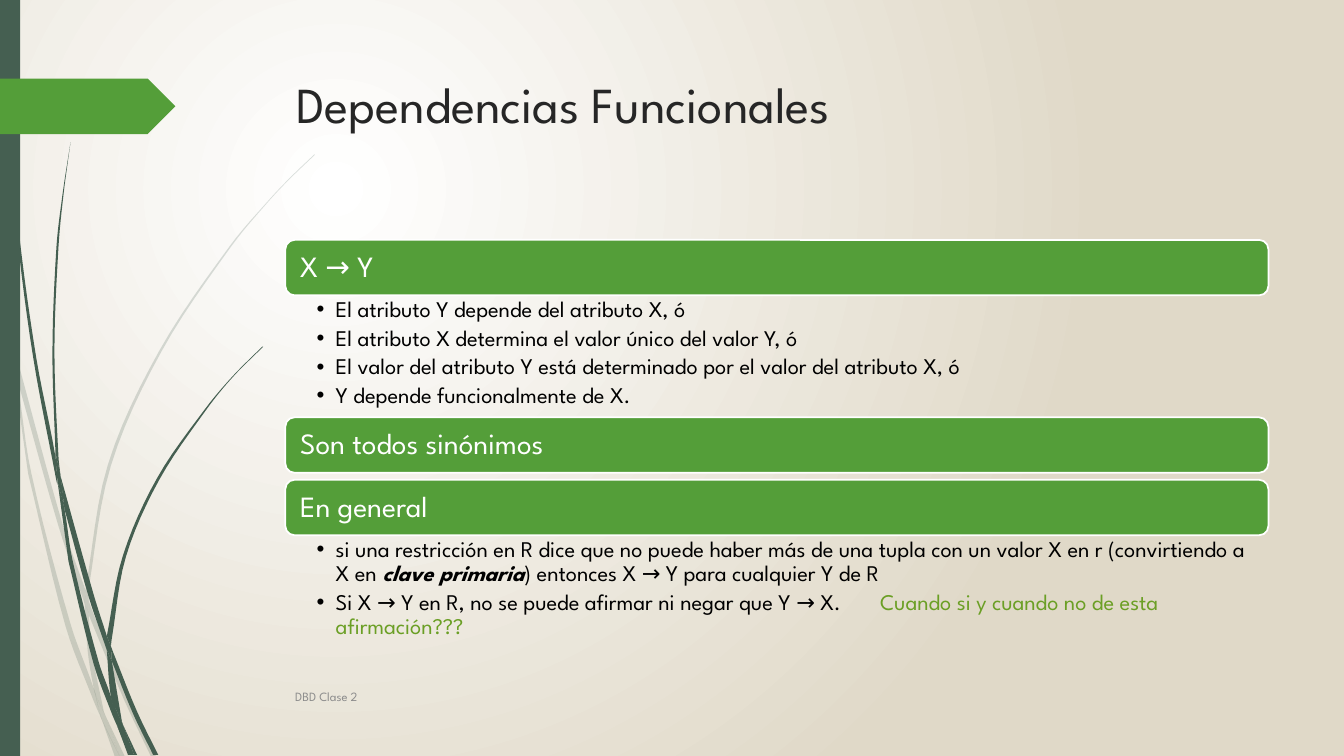
from dataclasses import dataclass
from math import dist

from lxml import etree
from pptx import Presentation
from pptx import util as u
from pptx.dml.color import RGBColor
from pptx.enum import shapes, text
from pptx.oxml import ns

FONT = "League Spartan"
PINE = RGBColor(0x45, 0x5F, 0x51)
GREEN = RGBColor(0x54, 0x9E, 0x39)
LIME = RGBColor(0x6B, 0x9F, 0x25)
SAND = RGBColor(0xE0, 0xD9, 0xC8)
INK = RGBColor(0x26, 0x26, 0x26)
GRAY = RGBColor(0x8C, 0x8C, 0x8C)
BLACK = RGBColor(0, 0, 0)
WHITE = RGBColor(255, 255, 255)

LEFT, WIDTH, HEADING_HEIGHT = 2.83, 9.75, 0.55
Point = tuple[float, float]
Edge = list[Point]


@dataclass
class Blade:
    down: Edge
    back: Edge


@dataclass
class Heading:
    label: str
    top: float


@dataclass
class Phrase:
    words: str
    color: RGBColor = BLACK
    strong: bool = False


@dataclass
class Points:
    slot: int
    top: float
    height: float
    items: list[list[Phrase]]


PALE_BLADES = [
    Blade([(0, 2.82), (0.09, 3.22), (0.11, 3.5)], [(0.1, 3.44), (0, 2.99)]),
    Blade([(0.14, 3.45), (0.62, 5.2), (0.85, 5.86)], [(0.84, 5.99), (0.58, 5.22), (0.17, 3.76)]),
    Blade([(0.88, 5.96), (0.92, 6.07), (1.27, 6.92), (1.55, 7.51)],
          [(1.5, 7.51), (1.23, 6.94), (0.88, 6.1)]),
    Blade([(1.05, 7.11), (1.24, 7.51)], [(1.19, 7.51)]),
    Blade([(0.11, 3.5), (0.17, 3.76), (0.31, 4.69), (0.7, 6.19), (0.93, 6.83), (0.99, 7.07)],
          [(1.01, 7.14), (0.92, 6.93), (0.65, 6.21), (0.28, 4.7)]),
    Blade([(0.84, 5.99), (0.87, 6.46), (0.93, 6.83), (0.96, 6.92), (1.05, 7.11)],
          [(1.03, 7.06), (0.91, 6.46), (0.88, 6.1), (0.88, 6.08)]),
    Blade([(0.88, 5.96), (0.88, 5.84), (1.1, 4.62), (1.6, 3.49), (2.29, 2.45), (2.68, 1.98),
           (2.9, 1.75), (3.12, 1.54)],
          [(3.12, 1.53), (2.89, 1.75), (2.68, 1.97), (2.28, 2.44), (1.58, 3.48), (1.07, 4.61),
           (0.85, 5.84), (0.85, 5.86)]),
    Blade([(1.01, 7.14), (1.14, 7.51)], [(1.19, 7.51)]),
    Blade([(0.88, 6.08), (0.88, 5.96)], [(0.85, 5.86), (0.84, 5.99)]),
    Blade([(0.93, 6.83), (0.99, 7.07), (1.01, 7.14), (1.19, 7.51)], [(1.05, 7.11), (0.96, 6.92)]),
]
DARK_BLADES = [
    Blade([(0.04, 0), (0.05, 0.48), (0.08, 1.09), (0.19, 2.32), (0.36, 3.55), (0.55, 4.53), (0.57, 4.81)],
          [(0.56, 4.77), (0.33, 3.55), (0.17, 2.33), (0.07, 1.1), (0.04, 0.48), (0.03, 0)]),
    Blade([(0.6, 4.72), (0.93, 5.9), (1.06, 6.31)], [(1.06, 6.45), (0.88, 5.92), (0.64, 5.05)]),
    Blade([(1.1, 6.41), (1.13, 6.49), (1.36, 7.06), (1.57, 7.49)],
          [(1.52, 7.49), (1.32, 7.08), (1.11, 6.56)]),
    Blade([(0.57, 4.77), (0.64, 5.05), (0.72, 5.56), (0.98, 6.57), (1.1, 6.91), (1.16, 7.17)],
          [(1.17, 7.22), (1.11, 7.08), (0.93, 6.59), (0.68, 5.57)]),
    Blade([(0.6, 4.72), (0.58, 4.53), (0.54, 3.49), (0.58, 2.45), (0.63, 1.93), (0.7, 1.41)],
          [(0.7, 1.41), (0.62, 1.93), (0.56, 2.45), (0.52, 3.49), (0.55, 4.49)]),
    Blade([(1.22, 7.19), (1.36, 7.49)], [(1.33, 7.49)]),
    Blade([(0.55, 4.49), (0.6, 4.72), (0.64, 5.05)], [(0.57, 4.77), (0.55, 4.53)]),
    Blade([(1.1, 6.41), (1.11, 6.33), (1.25, 5.52), (1.58, 4.76), (2.05, 4.06), (2.31, 3.74), (2.61, 3.44)],
          [(2.6, 3.44), (2.31, 3.73), (2.04, 4.05), (1.56, 4.74), (1.22, 5.51), (1.06, 6.31)]),
    Blade([(1.17, 7.22), (1.27, 7.49)], [(1.31, 7.49)]),
    Blade([(1.06, 6.45), (1.1, 6.91), (1.16, 7.06), (1.22, 7.19)], [(1.21, 7.16), (1.11, 6.56)]),
    Blade([(1.06, 6.31), (1.06, 6.45)], [(1.11, 6.56), (1.1, 6.41)]),
    Blade([(1.1, 6.91), (1.17, 7.22), (1.3, 7.49)], [(1.33, 7.49), (1.22, 7.19), (1.16, 7.06)]),
]
HEADINGS = [Heading("X → Y", 2.38), Heading("Son todos sinónimos", 4.14), Heading("En general", 4.76)]
LISTS = [
    Points(1, 2.93, 1.21, [
        [Phrase("El atributo Y depende del atributo X, ó")],
        [Phrase("El atributo X determina el valor único del valor Y, ó")],
        [Phrase("El valor del atributo Y está determinado por el valor del atributo X, ó")],
        [Phrase("Y depende funcionalmente de X.")],
    ]),
    Points(2, 5.31, 1.12, [
        [Phrase("si una restricción en R dice que no puede haber más de una tupla con un valor X en r "
                "(convirtiendo a X en "),
         Phrase("clave primaria", strong=True),
         Phrase(") entonces X → Y para cualquier Y de R")],
        [Phrase("Si X → Y en R, no se puede afirmar ni negar que Y → X.\t"),
         Phrase("Cuando si y cuando no de esta afirmación???", LIME)],
    ]),
]


def style(run, size: float, color: RGBColor) -> None:
    run.font.name, run.font.size = FONT, u.Pt(size)
    run.font.color.rgb = color


def place(part, left: float, top: float, width: float, height: float) -> None:
    part.left, part.top = u.Inches(left), u.Inches(top)
    part.width, part.height = u.Inches(width), u.Inches(height)


def paint(part, color: RGBColor) -> None:
    part.shadow.inherit = False
    part.fill.solid()
    part.fill.fore_color.rgb = color
    part.line.fill.background()


def smooth(edge: Edge, steps: int = 6) -> Edge:
    def heading(i: int) -> Point:
        a, b = edge[max(i - 1, 0)], edge[min(i + 1, len(edge) - 1)]
        reach = dist(a, b) or 1
        return (b[0] - a[0]) / reach, (b[1] - a[1]) / reach

    curve = [edge[0]]
    for i, (a, b) in enumerate(zip(edge, edge[1:])):
        span, leave, arrive = dist(a, b), heading(i), heading(i + 1)
        for t in (n / steps for n in range(1, steps + 1)):
            end = t * t * (3 - 2 * t)
            out, into = span * t * (1 - t) ** 2, span * t * t * (t - 1)
            curve.append(tuple(a[k] + (b[k] - a[k]) * end + leave[k] * out + arrive[k] * into
                               for k in (0, 1)))
    return curve


def draw_blade(slide, blade: Blade, opacity: int) -> None:
    start, *rest = [(u.Inches(x), u.Inches(y)) for x, y in smooth(blade.down) + smooth(blade.back)]
    builder = slide.shapes.build_freeform(*start)
    builder.add_line_segments(rest, close=True)
    grass = builder.convert_to_shape()
    paint(grass, PINE)
    if opacity < 100:
        tint = grass.element.spPr.find(".//" + ns.qn("a:srgbClr"))
        etree.SubElement(tint, ns.qn("a:alpha"), val=str(opacity * 1000))


def draw_block(slide, kind, box: tuple[float, float, float, float], color: RGBColor):
    block = slide.shapes.add_shape(kind, *map(u.Inches, box))
    paint(block, color)
    return block


def draw_heading(slide, heading: Heading) -> None:
    bar = draw_block(slide, shapes.MSO_SHAPE.ROUNDED_RECTANGLE,
                     (LEFT, heading.top, WIDTH, HEADING_HEIGHT), GREEN)
    bar.line.color.rgb, bar.line.width = WHITE, u.Pt(1.25)
    frame = bar.text_frame
    frame.text = heading.label
    frame.margin_left = u.Inches(0.12)
    frame.vertical_anchor = text.MSO_ANCHOR.MIDDLE
    label = frame.paragraphs[0]
    label.alignment, label.line_spacing = text.PP_ALIGN.LEFT, 0.9
    style(label.runs[0], 21, WHITE)


def draw_list(slide, points: Points) -> None:
    body = slide.placeholders[points.slot]
    place(body, LEFT, points.top, WIDTH, points.height)
    frame = body.text_frame
    frame.auto_size, frame.word_wrap = text.MSO_AUTO_SIZE.NONE, True
    frame.margin_left, frame.margin_right = u.Inches(0.31), u.Inches(0.16)
    frame.margin_top = frame.margin_bottom = u.Inches(0.03)
    for i, phrases in enumerate(points.items):
        item = frame.add_paragraph() if i else frame.paragraphs[0]
        item.line_spacing, item.space_before, item.space_after = 0.9, u.Pt(0), u.Pt(3.2)
        props = item._p.get_or_add_pPr()
        props.set("marL", str(u.Inches(0.19)))
        props.set("indent", str(-u.Inches(0.19)))
        etree.SubElement(props, ns.qn("a:buChar"), char="•")
        stops = etree.SubElement(props, ns.qn("a:tabLst"))
        etree.SubElement(stops, ns.qn("a:tab"), pos=str(u.Inches(5.59)), algn="l")
        for phrase in phrases:
            run = item.add_run()
            run.text = phrase.words
            style(run, 16, phrase.color)
            run.font.bold = run.font.italic = phrase.strong


def draw_background(slide) -> None:
    fill = slide.background.fill
    fill.gradient()
    for stop, color in zip(fill.gradient_stops, (WHITE, SAND)):
        stop.color.rgb = color
    linear = slide.element.find(".//" + ns.qn("a:lin"))
    radial = etree.Element(ns.qn("a:path"), path="circle")
    etree.SubElement(radial, ns.qn("a:fillToRect"), l="50000", t="50000", r="100000", b="100000")
    linear.getparent().replace(linear, radial)


def main() -> None:
    deck = Presentation()
    deck.slide_width, deck.slide_height = u.Inches(13.33), u.Inches(7.5)
    slide = deck.slides.add_slide(deck.slide_layouts[3])
    draw_background(slide)
    for blades, opacity in ((PALE_BLADES, 20), (DARK_BLADES, 100)):
        for blade in blades:
            draw_blade(slide, blade, opacity)
    draw_block(slide, shapes.MSO_SHAPE.RECTANGLE, (0, 0, 0.2, 7.5), PINE)
    draw_block(slide, shapes.MSO_SHAPE.PENTAGON, (0, 0.78, 1.74, 0.55), GREEN)

    title = slide.shapes.title
    place(title, 2.84, 0.68, WIDTH, 1.4)
    footer = slide.shapes.add_textbox(*map(u.Inches, (LEFT, 6.71, 8.33, 0.4)))
    for part, words, size, color, anchor in (
            (title, "Dependencias Funcionales", 36, INK, text.MSO_ANCHOR.TOP),
            (footer, "DBD Clase 2", 9, GRAY, text.MSO_ANCHOR.MIDDLE)):
        frame = part.text_frame
        frame.text = words
        frame.word_wrap, frame.auto_size = True, text.MSO_AUTO_SIZE.NONE
        frame.vertical_anchor = anchor
        frame.paragraphs[0].alignment = text.PP_ALIGN.LEFT
        style(frame.paragraphs[0].runs[0], size, color)

    for heading in HEADINGS:
        draw_heading(slide, heading)
    for points in LISTS:
        draw_list(slide, points)
    deck.save("out.pptx")


if __name__ == "__main__":
    main()
